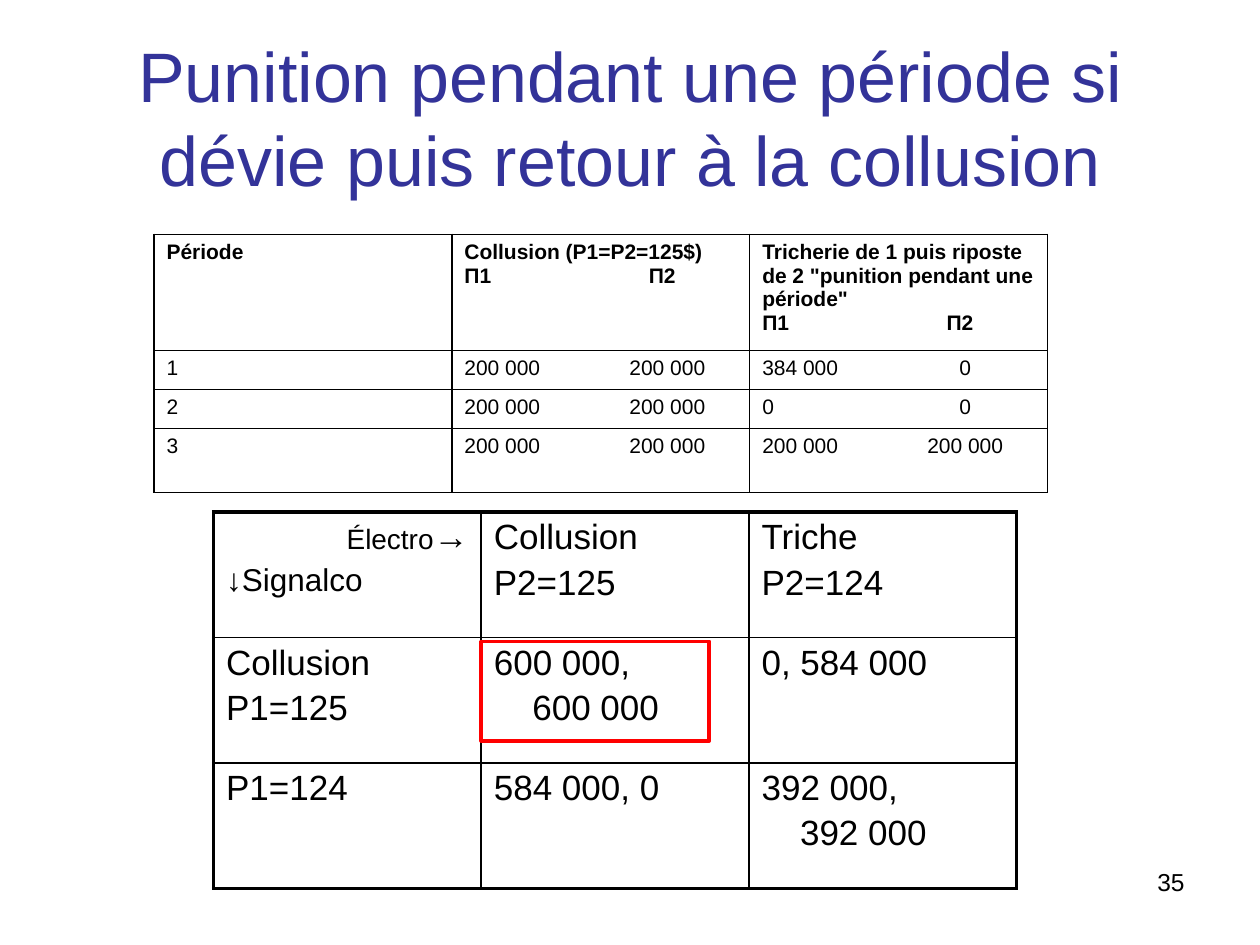
from pptx import Presentation
from pptx.dml.color import RGBColor
from pptx.enum.shapes import MSO_SHAPE
from pptx.enum.text import MSO_ANCHOR, MSO_AUTO_SIZE, PP_ALIGN
from pptx.oxml.ns import qn
from pptx.util import Pt
from lxml.etree import SubElement

# Content: a cell is a list of paragraphs, a tab parts the two profits
TITLE = "Punition pendant une période si dévie puis retour à la collusion"
PAGE_NUMBER = "35"
PERIODS = [
    [["Période"],
     ["Collusion (P1=P2=125$)", "Π1\tΠ2"],
     ['Tricherie de 1 puis riposte de 2 "punition pendant une période"', "Π1\tΠ2"]],
    [["1"], ["200 000\t200 000"], ["384 000\t0"]],
    [["2"], ["200 000\t200 000"], ["0\t0"]],
    [["3"], ["200 000\t200 000"], ["200 000\t200 000"]],
]
PAYOFFS = [
    [[], ["Collusion", "P2=125"], ["Triche", "P2=124"]],
    [["Collusion", "P1=125"], ["600 000,", "600 000"], ["0, 584 000"]],
    [["P1=124"], ["584 000, 0"], ["392 000,", "392 000"]],
]
PLAYERS = [  # corner cell: alignment, then runs with their size
    (PP_ALIGN.RIGHT, [("Électro", 16), ("→", 20)]),
    (PP_ALIGN.LEFT, [("↓Signalco", 18)]),
]


class Theme:
    font = "Arial"
    ink = RGBColor(0, 0, 0)
    title = RGBColor(0x33, 0x33, 0x99)
    highlight = RGBColor(0xFF, 0, 0)
    title_size, period_size, payoff_size, page_size = 40, 12, 20, 14
    thin, thick = 1, 2.25


def add_span(para, text, size, color=Theme.ink, bold=False):
    span = para.add_run()
    span.text = text
    span.font.name = Theme.font
    span.font.size = Pt(size)
    span.font.bold = bold
    span.font.color.rgb = color


def next_para(frame, index):
    return frame.paragraphs[0] if index == 0 else frame.add_paragraph()


def set_center_tab(para, position):
    tabs = SubElement(para._p.get_or_add_pPr(), qn("a:tabLst"))
    SubElement(tabs, qn("a:tab"), pos=str(Pt(position)), algn="ctr")


def set_borders(cell, widths):
    properties = cell._tc.get_or_add_tcPr()
    for side, width in zip(("a:lnL", "a:lnR", "a:lnT", "a:lnB"), widths):
        line = SubElement(properties, qn(side), w=str(Pt(width)))
        fill = SubElement(line, qn("a:solidFill"))
        SubElement(fill, qn("a:srgbClr"), val=str(Theme.ink))


def add_grid(page, left, top, column_width, row_heights, frame_width):
    """Add an unfilled three-column table with the given outer frame."""
    rows, columns = len(row_heights), 3
    grid = page.shapes.add_table(rows, columns, Pt(left), Pt(top),
                                 Pt(column_width * columns), Pt(sum(row_heights))).table
    grid.first_row = grid.horz_banding = False
    for column in grid.columns:
        column.width = Pt(column_width)
    for r, height in enumerate(row_heights):
        grid.rows[r].height = Pt(height)
        for c in range(columns):
            outer = (c == 0, c == columns - 1, r == 0, r == rows - 1)
            cell = grid.cell(r, c)
            set_borders(cell, [frame_width if edge else Theme.thin for edge in outer])
            cell.fill.background()
    return grid


def main():
    deck = Presentation()
    deck.slide_width, deck.slide_height = Pt(720), Pt(540)
    page = deck.slides.add_slide(deck.slide_layouts[5])

    # Title
    title = page.shapes.title
    title.left, title.top, title.width, title.height = Pt(36), Pt(21.6), Pt(648), Pt(90)
    frame = title.text_frame
    frame.auto_size = MSO_AUTO_SIZE.NONE
    frame.vertical_anchor = MSO_ANCHOR.MIDDLE
    para = frame.paragraphs[0]
    para.alignment = PP_ALIGN.CENTER
    para.line_spacing = Pt(48)
    add_span(para, TITLE, Theme.title_size, Theme.title)

    # Profits by period
    grid = add_grid(page, 88, 134, 170.2, [66.2, 22.3, 22.3, 36.7], Theme.thin)
    for r, row in enumerate(PERIODS):
        for c, lines in enumerate(row):
            for i, text in enumerate(lines):
                para = next_para(grid.cell(r, c).text_frame, i)
                if "\t" in text:
                    set_center_tab(para, 113 if r == 0 else 116)
                add_span(para, text, Theme.period_size, bold=r == 0)

    # Payoff matrix
    grid = add_grid(page, 122, 292.5, 153, [71.7] * 3, Theme.thick)
    for r, row in enumerate(PAYOFFS):
        for c, lines in enumerate(row):
            for i, text in enumerate(lines):
                para = next_para(grid.cell(r, c).text_frame, i)
                if i > 0:
                    para.space_before = Pt(3.5)
                    if lines[0].endswith(","):
                        para._p.get_or_add_pPr().set("marL", str(Pt(22)))
                add_span(para, text, Theme.payoff_size)
    for i, (alignment, spans) in enumerate(PLAYERS):
        para = next_para(grid.cell(0, 0).text_frame, i)
        para.alignment = alignment
        if i > 0:
            para.space_before = Pt(3.5)
        for text, size in spans:
            add_span(para, text, size)

    # Frame round the collusive outcome
    box = page.shapes.add_shape(MSO_SHAPE.RECTANGLE, Pt(275), Pt(366.5), Pt(130.3), Pt(56.9))
    box.shadow.inherit = False
    box.fill.background()
    box.line.color.rgb = Theme.highlight
    box.line.width = Pt(2)

    # Page number
    box = page.shapes.add_textbox(Pt(516), Pt(492), Pt(168), Pt(37.5))
    box.text_frame.word_wrap = True
    para = box.text_frame.paragraphs[0]
    para.alignment = PP_ALIGN.RIGHT
    add_span(para, PAGE_NUMBER, Theme.page_size)

    deck.save("out.pptx")


if __name__ == "__main__":
    main()
